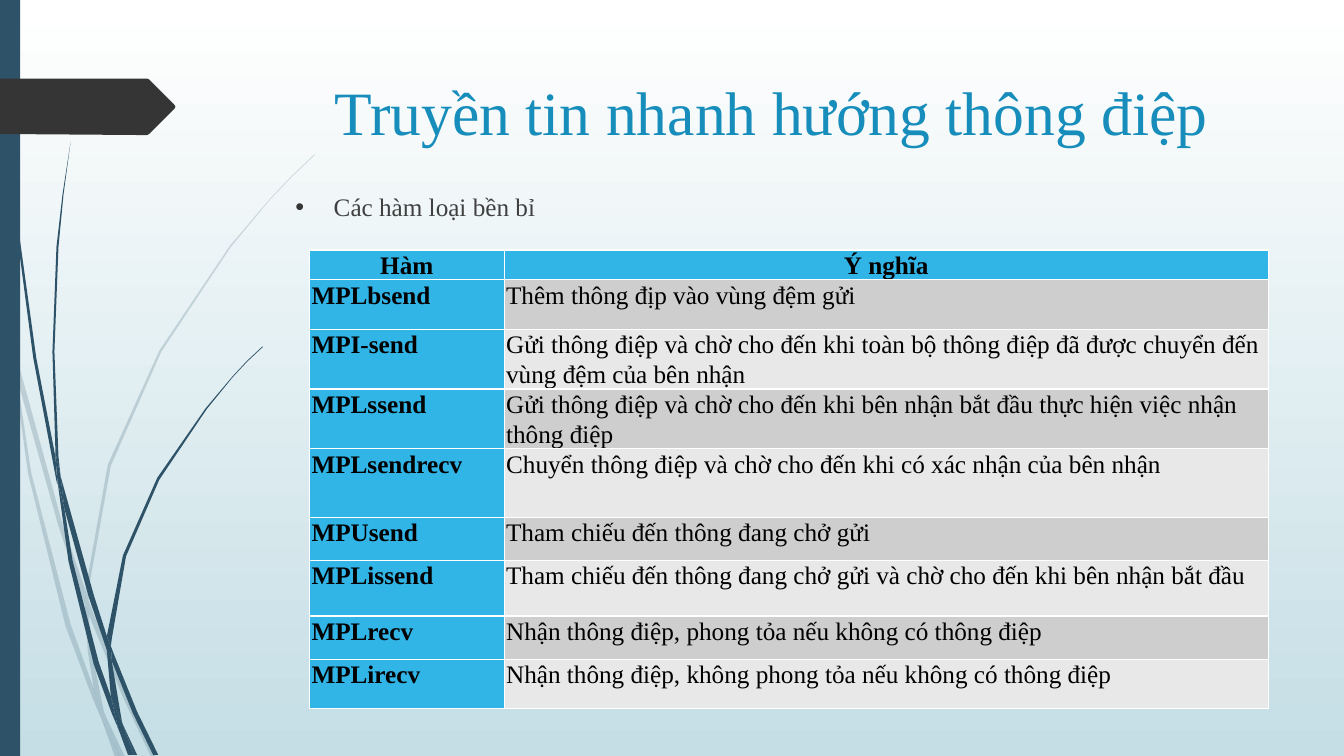
from dataclasses import dataclass
from typing import NamedTuple

from lxml import etree
from pptx import Presentation
from pptx.dml.color import RGBColor
from pptx.enum.shapes import MSO_SHAPE
from pptx.enum.text import MSO_ANCHOR, MSO_AUTO_SIZE, PP_ALIGN
from pptx.oxml.ns import qn
from pptx.util import Inches, Pt

RECT = MSO_SHAPE.RECTANGLE
TOP = MSO_ANCHOR.TOP
FIXED = MSO_AUTO_SIZE.NONE
LEFT, CENTER = PP_ALIGN.LEFT, PP_ALIGN.CENTER


@dataclass(frozen=True)
class Theme:
    font: str = "Times New Roman"
    head: int = 44
    text: int = 18
    title: str = "178DBB"
    body: str = "404040"
    cell: str = "000000"
    blue: str = "31B4E6"
    bands: tuple = ("CECECE", "E8E8E8")
    stem: str = "2E5369"
    tag: str = "353535"
    sky: tuple = ("FFFFFF", "C5DEE5")


class Box(NamedTuple):
    left: float
    top: float
    width: float
    height: float


class Row(NamedTuple):
    name: str
    sense: str
    height: float


class Plant(NamedTuple):
    """Leaf outlines in inches, with one opacity in percent."""
    alpha: int
    leaves: tuple


THEME = Theme()
TITLE_BOX = Box(3.22, 0.68, 9.36, 1.4)
BODY_BOX = Box(2.83, 1.85, 9.75, 4.62)
TABLE_BOX = Box(3.07, 2.48, 9.51, 4.23)
BAR_BOX = Box(0, 0, 0.2, 7.5)
COLS = (1.93, 7.58)

ROWS = (
    Row("Hàm", "Ý nghĩa", 0.18),
    Row("MPLbsend", "Thêm thông địp vào vùng đệm gửi", 0.49),
    Row("MPI-send", "Gửi thông điệp và chờ cho đến khi toàn bộ thông điệp "
        "đã được chuyển đến vùng đệm của bên nhận", 0.49),
    Row("MPLssend", "Gửi thông điệp và chờ cho đến khi bên nhận bắt đầu "
        "thực hiện việc nhận thông điệp", 0.49),
    Row("MPLsendrecv", "Chuyển thông điệp và chờ cho đến khi có xác nhận "
        "của bên nhận", 0.68),
    Row("MPUsend", "Tham chiếu đến thông đang chở gửi", 0.43),
    Row("MPLissend", "Tham chiếu đến thông đang chở gửi và chờ cho đến khi "
        "bên nhận bắt đầu", 0.55),
    Row("MPLrecv", "Nhận thông điệp, phong tỏa nếu không có thông điệp", 0.43),
    Row("MPLirecv", "Nhận thông điệp, không phong tỏa nếu không có thông điệp",
        0.49),
)

TAG = ((1.73, 1.08), (1.48, 1.33), (1.46, 1.34), (1.36, 1.34), (0, 1.33),
       (0, 0.78), (1.46, 0.78), (1.48, 0.79), (1.73, 1.04), (1.74, 1.06))

PALE = Plant(20, (
    ((0.11, 3.5), (0.09, 3.22), (0, 2.82), (0, 2.99), (0.1, 3.44)),
    ((0.58, 5.22), (0.84, 5.99), (0.85, 5.86), (0.62, 5.2), (0.14, 3.45),
     (0.17, 3.76)),
    ((0.92, 6.07), (0.88, 5.96), (0.88, 6.1), (1.23, 6.94), (1.5, 7.51),
     (1.55, 7.51), (1.27, 6.92)),
    ((1.19, 7.51), (1.24, 7.51), (1.05, 7.11)),
    ((0.93, 6.83), (0.7, 6.19), (0.31, 4.69), (0.17, 3.76), (0.11, 3.5),
     (0.28, 4.7), (0.65, 6.21), (0.92, 6.93), (1.01, 7.14), (0.99, 7.07)),
    ((0.84, 5.99), (0.87, 6.46), (0.93, 6.83), (0.96, 6.92), (1.05, 7.11),
     (1.03, 7.06), (0.91, 6.46), (0.88, 6.1), (0.88, 6.08)),
    ((0.88, 5.84), (1.1, 4.62), (1.6, 3.49), (2.29, 2.45), (2.68, 1.98),
     (2.9, 1.75), (3.12, 1.54), (3.12, 1.53), (2.89, 1.75), (2.68, 1.97),
     (2.28, 2.44), (1.58, 3.48), (1.07, 4.61), (0.85, 5.84), (0.88, 5.96)),
    ((1.01, 7.14), (1.14, 7.51), (1.19, 7.51)),
    ((0.88, 6.08), (0.88, 5.96), (0.85, 5.86), (0.84, 5.99)),
    ((0.96, 6.92), (0.93, 6.83), (0.99, 7.07), (1.01, 7.14), (1.19, 7.51),
     (1.05, 7.11)),
))

DARK = Plant(100, (
    ((0.07, 1.1), (0.17, 2.33), (0.33, 3.55), (0.56, 4.77), (0.57, 4.81),
     (0.55, 4.53), (0.36, 3.55), (0.19, 2.32), (0.08, 1.09), (0.05, 0.48),
     (0.04, 0), (0.03, 0), (0.04, 0.48)),
    ((0.88, 5.92), (1.06, 6.45), (1.06, 6.31), (0.93, 5.9), (0.6, 4.72),
     (0.64, 5.05)),
    ((1.13, 6.49), (1.1, 6.41), (1.11, 6.56), (1.32, 7.08), (1.52, 7.49),
     (1.57, 7.49), (1.36, 7.06)),
    ((1.1, 6.91), (0.98, 6.57), (0.72, 5.56), (0.64, 5.05), (0.57, 4.77),
     (0.68, 5.57), (0.93, 6.59), (1.11, 7.08), (1.17, 7.22), (1.16, 7.17)),
    ((0.6, 4.72), (0.58, 4.53), (0.54, 3.49), (0.58, 2.45), (0.63, 1.93),
     (0.7, 1.41), (0.62, 1.93), (0.56, 2.45), (0.52, 3.49), (0.55, 4.49)),
    ((1.33, 7.49), (1.36, 7.49), (1.22, 7.19)),
    ((0.57, 4.77), (0.64, 5.05), (0.6, 4.72), (0.55, 4.49), (0.55, 4.53)),
    ((1.11, 6.33), (1.25, 5.52), (1.58, 4.76), (2.05, 4.06), (2.31, 3.74),
     (2.45, 3.59), (2.61, 3.44), (2.6, 3.44), (2.45, 3.58), (2.31, 3.73),
     (2.04, 4.05), (1.56, 4.74), (1.22, 5.51), (1.06, 6.31), (1.1, 6.41)),
    ((1.17, 7.22), (1.27, 7.49), (1.31, 7.49)),
    ((1.06, 6.45), (1.1, 6.91), (1.16, 7.06), (1.22, 7.19), (1.21, 7.16),
     (1.11, 6.56), (1.09, 6.51)),
    ((1.06, 6.45), (1.09, 6.51), (1.11, 6.56), (1.1, 6.41), (1.06, 6.31)),
    ((1.16, 7.06), (1.1, 6.91), (1.16, 7.17), (1.17, 7.22), (1.3, 7.49),
     (1.33, 7.49), (1.22, 7.19)),
))


def rgb(code: str) -> RGBColor:
    return RGBColor.from_string(code)


def paint(shape, color: str, alpha: int = 100) -> None:
    shape.shadow.inherit = False
    shape.fill.solid()
    shape.fill.fore_color.rgb = rgb(color)
    shape.line.fill.background()
    if alpha < 100:
        tone = shape.element.spPr.find(".//" + qn("a:srgbClr"))
        etree.SubElement(tone, qn("a:alpha"), val=str(alpha * 1000))


def trace(shapes, points: tuple, color: str, alpha: int = 100) -> None:
    """Draw a closed, filled outline."""
    first, *rest = [(Inches(x), Inches(y)) for x, y in points]
    pen = shapes.build_freeform(*first)
    pen.add_line_segments(rest, close=True)
    paint(pen.convert_to_shape(), color, alpha)


def style(para, size: int, color: str, bold: bool = False,
          align=LEFT) -> None:
    para.alignment = align
    font = para.font
    font.name, font.size, font.bold = THEME.font, Pt(size), bold
    font.color.rgb = rgb(color)


def fill_holder(holder, box: Box, text: str, size: int, color: str):
    """Move a placeholder, set its text and return the paragraph."""
    holder.left, holder.top, holder.width, holder.height = map(Inches, box)
    frame = holder.text_frame
    frame.text = text
    frame.auto_size, frame.vertical_anchor = FIXED, TOP
    style(frame.paragraphs[0], size, color)
    return frame.paragraphs[0]


def add_bullet(para) -> None:
    para.space_before = Pt(10)
    props = para._p.get_or_add_pPr()
    props.set("marL", str(Inches(0.38)))
    props.set("indent", str(Inches(-0.38)))
    tint = etree.SubElement(props, qn("a:buClr"))
    etree.SubElement(tint, qn("a:srgbClr"), val=THEME.tag)
    etree.SubElement(props, qn("a:buFont"), typeface="Arial")
    etree.SubElement(props, qn("a:buChar"), char="•")
    # Bullet items must come before the default run format.
    for run in props.findall(qn("a:defRPr")):
        props.append(run)


def add_grid(shapes) -> None:
    table = shapes.add_table(len(ROWS), len(COLS),
                             *map(Inches, TABLE_BOX)).table
    table.first_col = True
    for col, width in zip(table.columns, COLS):
        col.width = Inches(width)
    for i, row in enumerate(ROWS):
        table.rows[i].height = Inches(row.height)
        for j, text in enumerate((row.name, row.sense)):
            key = i == 0 or j == 0
            cell = table.cell(i, j)
            cell.text = text
            cell.margin_left = cell.margin_right = Inches(0.02)
            cell.margin_top = cell.margin_bottom = 0
            cell.fill.solid()
            cell.fill.fore_color.rgb = rgb(
                THEME.blue if key else THEME.bands[(i - 1) % 2])
            para = cell.text_frame.paragraphs[0]
            para.line_spacing, para.space_after = 1.07, Pt(8)
            style(para, THEME.text, THEME.cell, key, LEFT if i else CENTER)


def main() -> None:
    deck = Presentation()
    deck.slide_width, deck.slide_height = Inches(13.33), Inches(7.5)
    slide = deck.slides.add_slide(deck.slide_layouts[1])
    shapes = slide.shapes
    title, body = slide.placeholders

    sky = slide.background.fill
    sky.gradient()
    sky.gradient_angle = 270
    for stop, color in zip(sky.gradient_stops, THEME.sky):
        stop.color.rgb = rgb(color)

    for plant in (PALE, DARK):
        group = shapes.add_group_shape()
        for leaf in plant.leaves:
            trace(group.shapes, leaf, THEME.stem, plant.alpha)
    paint(shapes.add_shape(RECT, *map(Inches, BAR_BOX)), THEME.stem)
    trace(shapes, TAG, THEME.tag)

    fill_holder(title, TITLE_BOX, "Truyền tin nhanh hướng thông điệp",
                THEME.head, THEME.title)
    add_bullet(fill_holder(body, BODY_BOX, "Các hàm loại bền bỉ",
                           THEME.text, THEME.body))
    for holder in (title, body):
        holder.element.getparent().append(holder.element)
    add_grid(shapes)
    deck.save("out.pptx")


if __name__ == "__main__":
    main()
